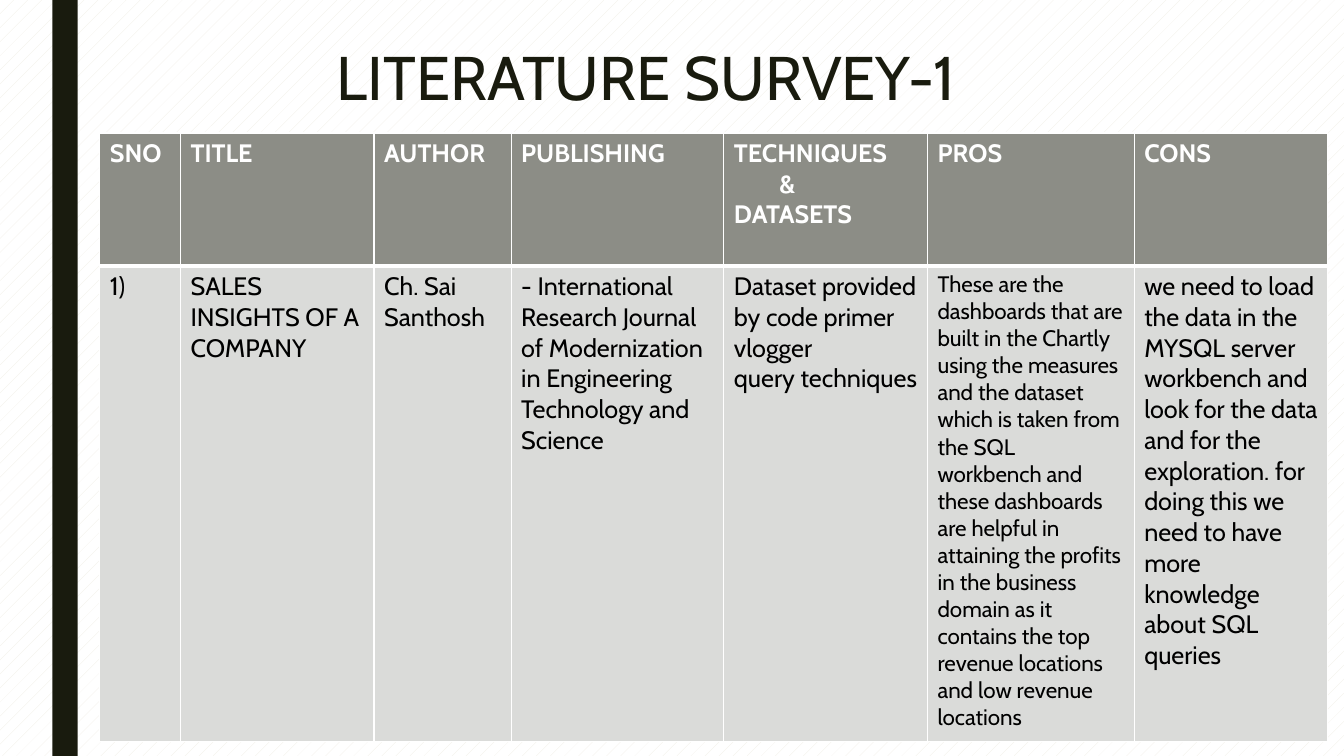
from lxml.etree import SubElement
from pptx import Presentation
from pptx.dml.color import RGBColor
from pptx.enum.dml import MSO_PATTERN
from pptx.enum.shapes import MSO_SHAPE
from pptx.enum.text import MSO_ANCHOR
from pptx.oxml.ns import qn
from pptx.util import Inches, Pt

TITLE = "LITERATURE SURVEY-1"
HEADINGS = [
    ["SNO"], ["TITLE"], ["AUTHOR"], ["PUBLISHING"],
    ["TECHNIQUES", "&", "DATASETS"], ["PROS"], ["CONS"],
]
PAPER = [
    ["1)"],
    ["SALES INSIGHTS OF A COMPANY"],
    ["Ch. Sai Santhosh"],
    ["- International Research Journal of Modernization in Engineering "
     "Technology and Science"],
    ["Dataset provided by code primer vlogger", "query techniques"],
    ["These are the dashboards that are built in the Chartly using the "
     "measures and the dataset which is taken from",
     "the SQL workbench and these dashboards are helpful in attaining the "
     "profits in the business domain as it contains the top revenue "
     "locations and low revenue locations"],
    ["we need to load the data in the MYSQL server workbench and look for "
     "the data",
     "and for the exploration. for doing this we need to have more "
     "knowledge about SQL queries"],
]
COLUMN_WIDTHS = [0.8, 1.92, 1.36, 2.11, 2.02, 2.05, 1.92]
ROW_HEIGHTS = [1.32, 4.72]
PROS_COLUMN = 5
AMPERSAND_INDENT = 0.45

THEME = {
    "font": "Cabin", "title_size": 44, "table_size": 18, "pros_size": 16,
    "dark": "191B0E", "header": "8C8D86", "body": "DADBD9",
    "white": "FFFFFF", "black": "000000", "pattern": "EFEDE3",
}


def color(name):
    return RGBColor.from_string(THEME[name])


def style(paragraph, size, color_name, bold=False):
    font = paragraph.font
    font.name = THEME["font"]
    font.size = Pt(THEME[size])
    font.bold = bold
    font.color.rgb = color(color_name)


def set_borders(cell, bottom_width):
    properties = cell._tc.get_or_add_tcPr()
    for side, width in zip("LRTB", (1, 1, 1, bottom_width)):
        line = SubElement(properties, qn(f"a:ln{side}"), w=str(Pt(width)))
        fill = SubElement(line, qn("a:solidFill"))
        SubElement(fill, qn("a:srgbClr"), val=THEME["white"])


def fill_cell(cell, lines, fill_name, size, color_name, is_header):
    set_borders(cell, 3 if is_header else 1)
    cell.fill.solid()
    cell.fill.fore_color.rgb = color(fill_name)
    frame = cell.text_frame
    frame.text = "\n".join(lines)
    for paragraph in frame.paragraphs:
        if paragraph.text == "&":
            paragraph._p.get_or_add_pPr().set("marL", str(Inches(AMPERSAND_INDENT)))
        style(paragraph, size, color_name, is_header)


def add_background(slide):
    fill = slide.background.fill
    fill.patterned()
    fill.pattern = MSO_PATTERN.PERCENT_5
    fill.fore_color.rgb = color("pattern")
    fill.back_color.rgb = color("white")
    bar = slide.shapes.add_shape(
        MSO_SHAPE.RECTANGLE, Inches(0.52), 0, Inches(0.25), Inches(7.5))
    bar.shadow.inherit = False
    bar.fill.solid()
    bar.fill.fore_color.rgb = color("dark")
    bar.line.fill.background()


def add_title(slide):
    box = slide.shapes.add_textbox(
        Inches(1.5), Inches(0.43), Inches(10.5), Inches(1.05))
    frame = box.text_frame
    frame.word_wrap = True
    frame.vertical_anchor = MSO_ANCHOR.TOP
    frame.margin_left = Inches(1.84)
    frame.text = TITLE
    paragraph = frame.paragraphs[0]
    paragraph.line_spacing = 0.89
    style(paragraph, "title_size", "dark")


def add_survey_table(slide):
    table = slide.shapes.add_table(
        2, len(COLUMN_WIDTHS), Inches(0.99), Inches(1.32),
        Inches(sum(COLUMN_WIDTHS)), Inches(sum(ROW_HEIGHTS))).table
    for row, height in zip(table.rows, ROW_HEIGHTS):
        row.height = Inches(height)
    for index, width in enumerate(COLUMN_WIDTHS):
        table.columns[index].width = Inches(width)
        fill_cell(table.cell(0, index), HEADINGS[index],
                  "header", "table_size", "white", True)
        size = "pros_size" if index == PROS_COLUMN else "table_size"
        fill_cell(table.cell(1, index), PAPER[index],
                  "body", size, "black", False)


def main():
    presentation = Presentation()
    presentation.slide_width = Inches(13.33)
    presentation.slide_height = Inches(7.5)
    slide = presentation.slides.add_slide(presentation.slide_layouts[6])
    add_background(slide)
    add_title(slide)
    add_survey_table(slide)
    presentation.save("out.pptx")


if __name__ == "__main__":
    main()
